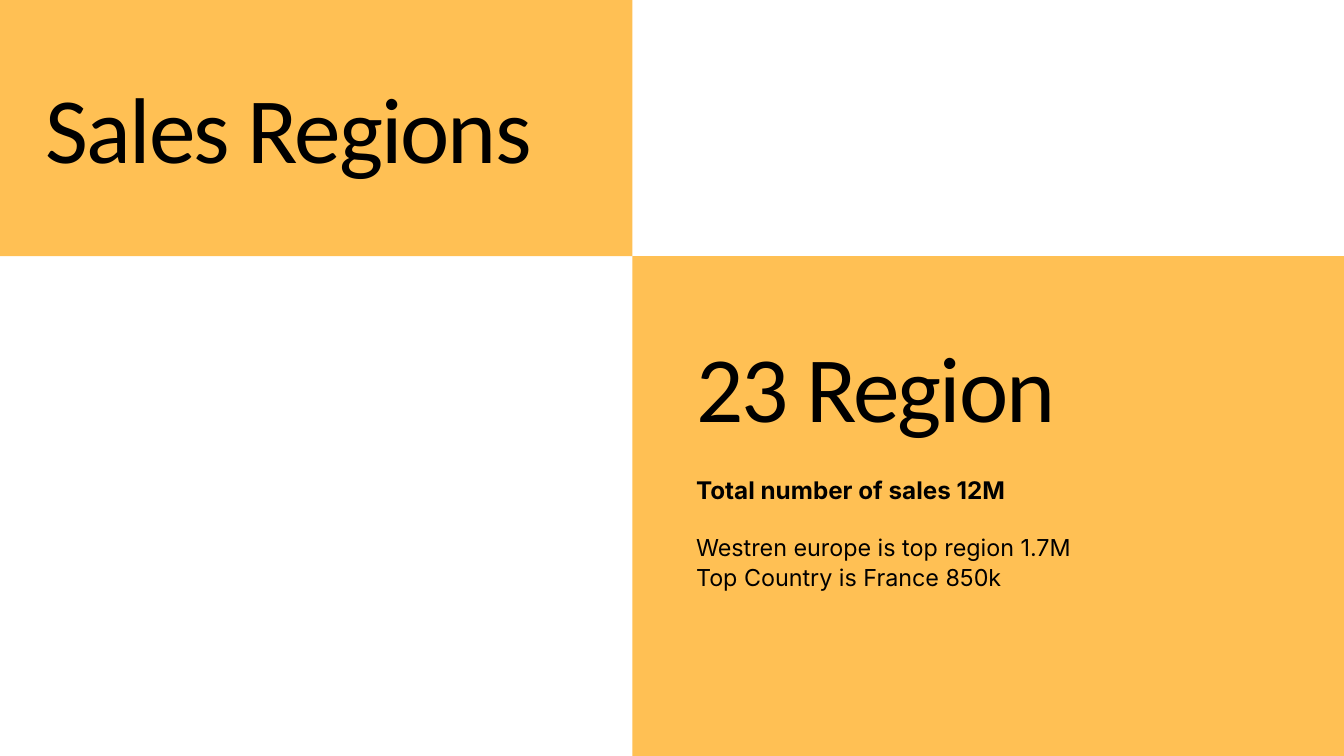
from pptx import Presentation
from pptx.dml.color import RGBColor
from pptx.enum.shapes import MSO_SHAPE
from pptx.enum.text import MSO_ANCHOR, MSO_AUTO_SIZE, PP_ALIGN
from pptx.util import Cm, Pt

# Content
TITLE = "Sales Regions"
HEAD = "23 Region"
TOTAL = "Total number of sales 12M"
FACTS = ["Westren europe is top region 1.7M", "Top Country is France 850k"]

# Colours and type: size and line pitch in points
THEME = {
    "panel": RGBColor(0xFF, 0xC0, 0x54),
    "ink": RGBColor(0, 0, 0),
    "display": {"font": "Calibri", "size": 100, "pitch": 110, "track": -2},
    "strong": {"font": "Inter", "size": 26, "pitch": 33.8, "bold": True},
    "body": {"font": "Inter", "size": 25, "pitch": 32.5},
}

# Geometry in centimetres: the panels meet at one corner
WIDE, HIGH = 50.8, 28.58
SPLIT_X, SPLIT_Y = 23.9, 9.68
TEXT_X, TEXT_W = 26.31, 18.75
PANELS = [
    (SPLIT_X, SPLIT_Y, WIDE - SPLIT_X, HIGH - SPLIT_Y),
    (0, 0, SPLIT_X, SPLIT_Y),
]
# Lines, style, top, height
BLOCKS = [
    ([HEAD], "display", 12.8, 4.01),
    ([TOTAL], "strong", 17.88, 1.14),
    (FACTS, "body", 20.07, 2.24),
]


def place(shape, box):
    shape.left, shape.top, shape.width, shape.height = map(Cm, box)


def write(shape, lines, font, size, pitch, bold=False, track=0):
    frame = shape.text_frame
    frame.margin_left = frame.margin_right = 0
    frame.margin_top = frame.margin_bottom = 0
    frame.word_wrap = True
    frame.auto_size = MSO_AUTO_SIZE.SHAPE_TO_FIT_TEXT
    frame.vertical_anchor = MSO_ANCHOR.TOP
    frame.text = "\n".join(lines)
    for para in frame.paragraphs:
        para.alignment = PP_ALIGN.LEFT
        para.line_spacing = Pt(pitch)
        for run in para.runs:
            run.font.name = font
            run.font.size = Pt(size)
            run.font.bold = bold
            run.font.color.rgb = THEME["ink"]
            if track:
                run.font._element.set("spc", str(track * 100))


def main():
    deck = Presentation()
    deck.slide_width, deck.slide_height = Cm(WIDE), Cm(HIGH)
    slide = deck.slides.add_slide(deck.slide_layouts[5])
    shapes = slide.shapes

    # Panels
    for box in PANELS:
        panel = shapes.add_shape(MSO_SHAPE.RECTANGLE, *map(Cm, box))
        panel.shadow.inherit = False
        panel.fill.solid()
        panel.fill.fore_color.rgb = THEME["panel"]
        panel.line.fill.background()

    # Summary text
    for lines, style, top, high in BLOCKS:
        box = shapes.add_textbox(*map(Cm, (TEXT_X, top, TEXT_W, high)))
        write(box, lines, **THEME[style])

    # Title, brought in front of its panel
    title = shapes.title
    place(title, (1.73, 3, 31.52, 3.96))
    write(title, [TITLE], **THEME["display"])
    title.element.getparent().append(title.element)

    deck.save("out.pptx")


if __name__ == "__main__":
    main()
